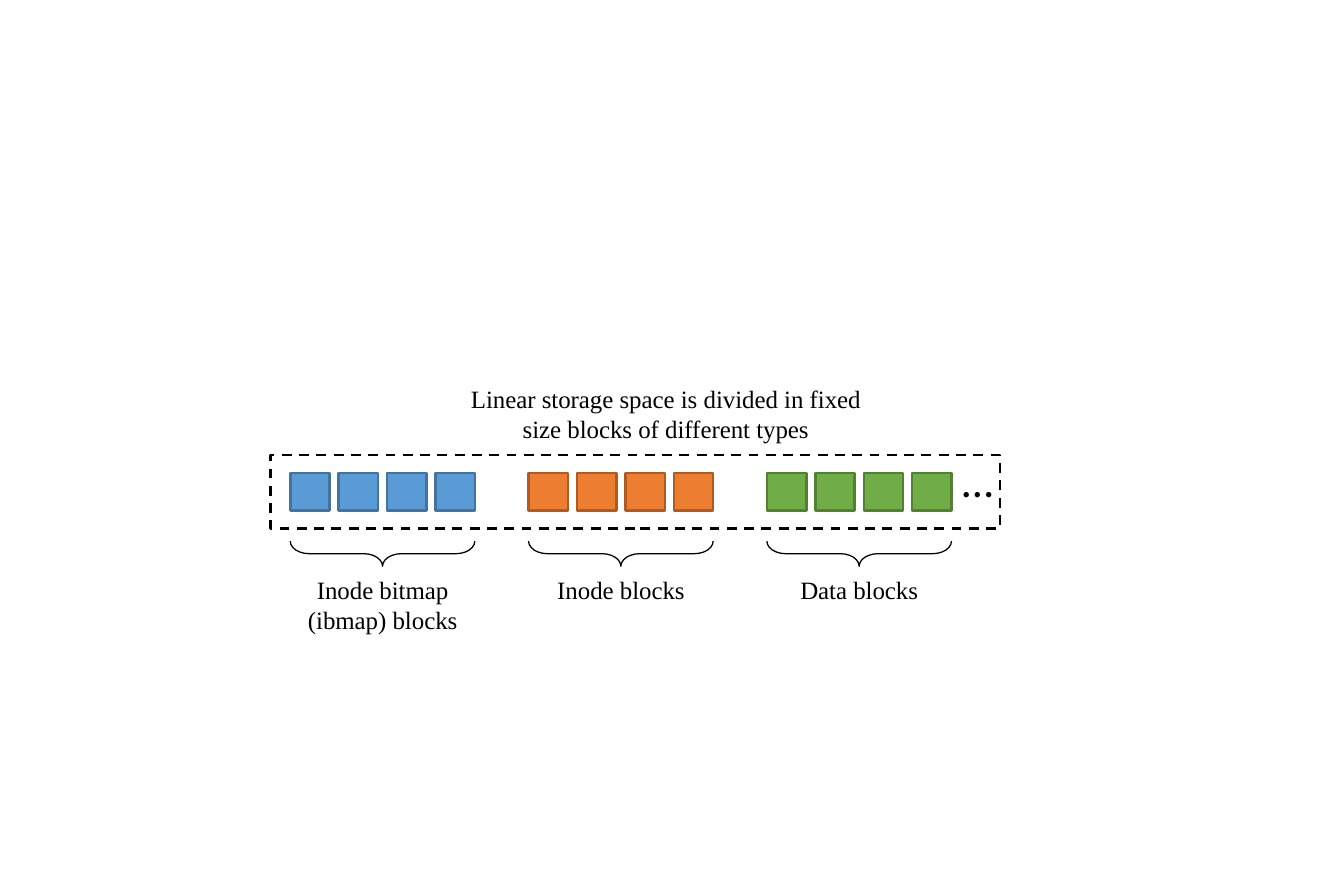
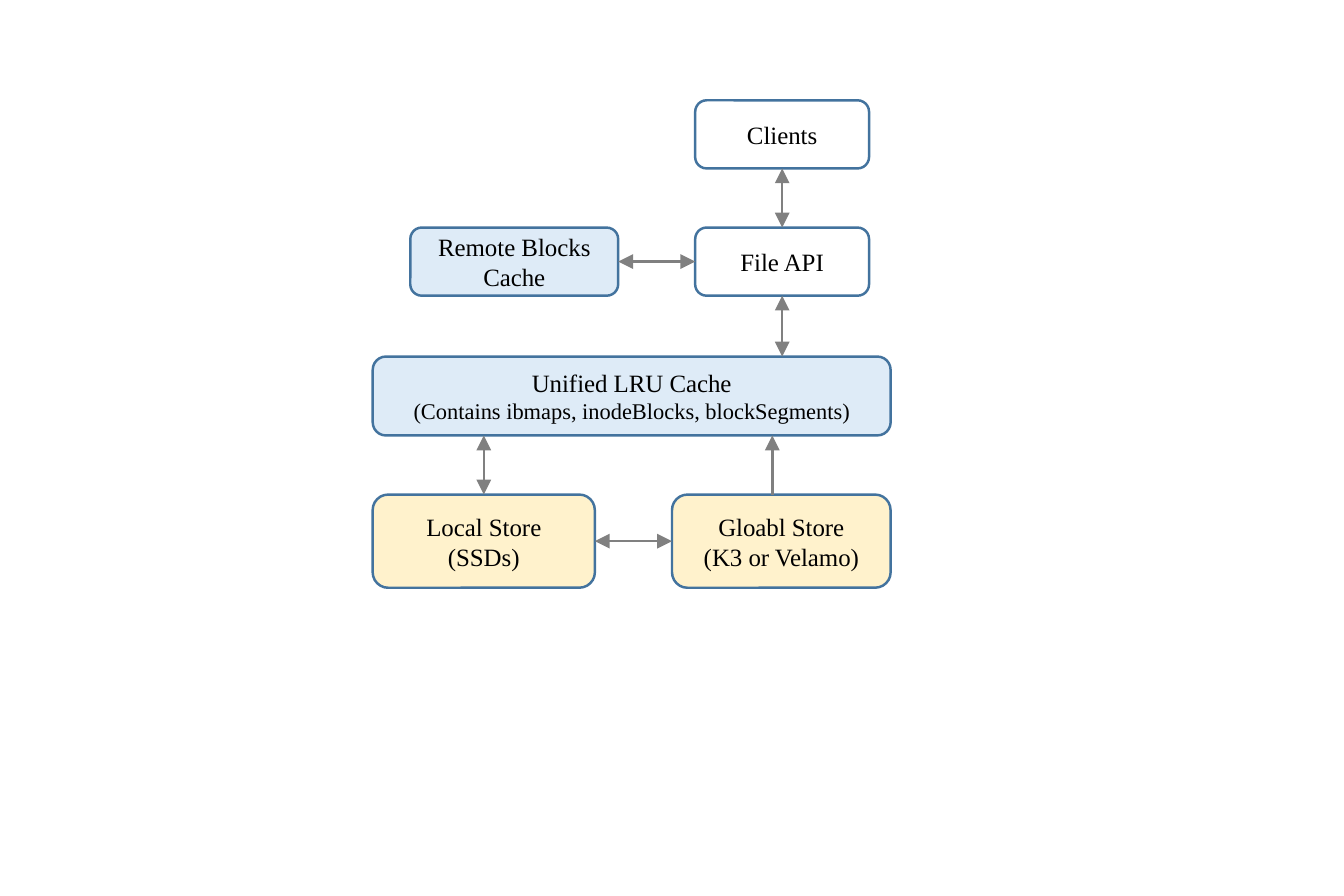
from lxml import etree
from pptx import Presentation
from pptx.dml.color import RGBColor
from pptx.enum.dml import MSO_LINE
from pptx.enum.shapes import MSO_CONNECTOR, MSO_SHAPE
from pptx.enum.text import MSO_ANCHOR, PP_ALIGN
from pptx.oxml.ns import qn
from pptx.util import Inches, Pt

RECT = MSO_SHAPE.RECTANGLE
ROUNDED = MSO_SHAPE.ROUNDED_RECTANGLE
BRACE = MSO_SHAPE.LEFT_BRACE
STRAIGHT = MSO_CONNECTOR.STRAIGHT
DASH = MSO_LINE.DASH
CENTER, LEFT = PP_ALIGN.CENTER, PP_ALIGN.LEFT
MIDDLE = MSO_ANCHOR.MIDDLE
TOP_SIDE, LEFT_SIDE, BOTTOM_SIDE, RIGHT_SIDE = range(4)

SERIF, SANS = "Times New Roman", "Calibri"
BLACK, WHITE, GRAY = "000000", "FFFFFF", "808080"
OUTLINE, CACHE_FILL, STORE_FILL = "43739E", "DEEBF7", "FFF2CC"

# Block groups: label, fill, outline
BLOCK_GROUPS = [
    ("Inode bitmap\n(ibmap) blocks", "5B9BD5", "43739E"),
    ("Inode blocks", "ED7D31", "AF5C24"),
    ("Data blocks", "70AD47", "538035"),
]
BLOCKS_PER_GROUP = 4
GROUP_LEFT, GROUP_PITCH, GROUP_WIDTH = 1.62, 1.33, 1.03
BLOCK_TOP, BLOCK_WIDTH, BLOCK_HEIGHT = 2.64, 0.22, 0.21
BLOCK_PITCH = (GROUP_WIDTH - BLOCK_WIDTH) / (BLOCKS_PER_GROUP - 1)
STRIP_LEFT, STRIP_TOP, STRIP_WIDTH, STRIP_HEIGHT = 1.51, 2.54, 4.07, 0.41
BRACE_TOP, BRACE_DEPTH, LABEL_TOP = 3.02, 0.14, 3.16
TORN_EDGE = [(5.57, 2.54), (5.62, 2.66), (5.58, 2.74), (5.65, 2.79), (5.56, 2.95)]

# Architecture rows
CLIENTS_TOP, API_TOP, CACHE_TOP, STORE_TOP = 0.56, 1.27, 1.99, 2.76
BOX_HEIGHT, CACHE_HEIGHT, STORE_HEIGHT = 0.38, 0.44, 0.52
CACHE_LEFT, CACHE_WIDTH = 2.08, 2.89
API_LEFT, API_WIDTH = 3.88, 0.97


def color(hex_code):
    return RGBColor.from_string(hex_code)


def style(shape, fill, line, width=1):
    shape.shadow.inherit = False
    if fill:
        shape.fill.solid()
        shape.fill.fore_color.rgb = color(fill)
    else:
        shape.fill.background()
    shape.line.color.rgb = color(line)
    shape.line.width = Pt(width)


def add_shape(page, kind, left, top, width, height, fill, line, line_width=1):
    shape = page.shapes.add_shape(
        kind, Inches(left), Inches(top), Inches(width), Inches(height))
    style(shape, fill, line, line_width)
    return shape


def write(frame, text, sizes=(10,), font=SERIF, align=CENTER):
    """Fill the frame; the last size serves all further paragraphs."""
    frame.text = text
    for index, para in enumerate(frame.paragraphs):
        para.alignment = align
        for span in para.runs:
            span.font.name = font
            span.font.size = Pt(sizes[min(index, len(sizes) - 1)])
            span.font.color.rgb = color(BLACK)


def add_label(page, text, left, top, width, height):
    box = page.shapes.add_textbox(
        Inches(left), Inches(top), Inches(width), Inches(height))
    frame = box.text_frame
    frame.word_wrap = True
    frame.margin_left = frame.margin_right = Inches(0.05)
    frame.margin_top = frame.margin_bottom = Inches(0.05)
    write(frame, text)


def add_box(page, text, left, top, width, height, fill=None, sizes=(10,)):
    box = add_shape(page, ROUNDED, left, top, width, height, fill, OUTLINE)
    box.text_frame.word_wrap = True
    box.text_frame.vertical_anchor = MIDDLE
    write(box.text_frame, text, sizes)
    return box


def add_arrow(page, start, end, both_ways=True):
    """Each end is a (box, side) pair or an (x, y) point in inches."""
    joined = [not isinstance(place[0], (int, float)) for place in (start, end)]
    x1, y1 = (0, 0) if joined[0] else start
    x2, y2 = (0, 0) if joined[1] else end
    arrow = page.shapes.add_connector(
        STRAIGHT, Inches(x1), Inches(y1), Inches(x2), Inches(y2))
    if joined[0]:
        arrow.begin_connect(*start)
    if joined[1]:
        arrow.end_connect(*end)
    arrow.line.color.rgb = color(GRAY)
    arrow.line.width = Pt(1)
    line = arrow.line._get_or_add_ln()
    for tag in ("a:headEnd", "a:tailEnd") if both_ways else ("a:tailEnd",):
        etree.SubElement(line, qn(tag), type="triangle")
    etree.SubElement(arrow._element.spPr, qn("a:effectLst"))


def add_block_group(page, left, label, fill, line):
    for index in range(BLOCKS_PER_GROUP):
        add_shape(page, RECT, left + index * BLOCK_PITCH, BLOCK_TOP,
                  BLOCK_WIDTH, BLOCK_HEIGHT, fill, line)
    # The brace is laid out upright around its centre, then turned.
    shift = (GROUP_WIDTH - BRACE_DEPTH) / 2
    brace = add_shape(page, BRACE, left + shift, BRACE_TOP - shift,
                      BRACE_DEPTH, GROUP_WIDTH, None, BLACK, 0.5)
    brace.rotation = 270
    brace.adjustments[0] = 0.75
    brace.adjustments[1] = 0.5
    label_height = 0.27 + 0.17 * label.count("\n")
    add_label(page, label, left, LABEL_TOP, GROUP_WIDTH, label_height)


def add_torn_edge(page):
    builder = page.shapes.build_freeform(*TORN_EDGE[0], scale=Inches(1))
    builder.add_line_segments(TORN_EDGE[1:], close=False)
    style(builder.convert_to_shape(), WHITE, BLACK)


def build_storage_page(page):
    strip = add_shape(page, RECT, STRIP_LEFT, STRIP_TOP, STRIP_WIDTH,
                      STRIP_HEIGHT, WHITE, BLACK)
    strip.line.dash_style = DASH
    for index, group in enumerate(BLOCK_GROUPS):
        add_block_group(page, GROUP_LEFT + index * GROUP_PITCH, *group)
    dots = page.shapes.add_textbox(
        Inches(5.27), Inches(2.48), Inches(0.38), Inches(0.4))
    dots.text_frame.word_wrap = False
    write(dots.text_frame, "…", (18,), SANS, LEFT)
    add_label(page, "Linear storage space is divided in fixed size blocks "
              "of different types", 2.46, 2.09, 2.51, 0.44)
    add_torn_edge(page)


def build_architecture_page(page):
    cache = add_box(
        page, "Unified LRU Cache\n(Contains ibmaps, inodeBlocks, blockSegments)",
        CACHE_LEFT, CACHE_TOP, CACHE_WIDTH, CACHE_HEIGHT, CACHE_FILL, (10, 9))
    local = add_box(page, "Local Store\n(SSDs)", CACHE_LEFT, STORE_TOP,
                    1.24, STORE_HEIGHT, STORE_FILL)
    remote_store = add_box(page, "Gloabl Store\n(K3 or Velamo)", 3.75,
                           STORE_TOP, 1.22, STORE_HEIGHT, STORE_FILL)
    api = add_box(page, "File API", API_LEFT, API_TOP, API_WIDTH, BOX_HEIGHT)
    remote_cache = add_box(page, "Remote Blocks Cache", 2.29, API_TOP,
                           1.16, BOX_HEIGHT, CACHE_FILL)
    clients = add_box(page, "Clients", API_LEFT, CLIENTS_TOP,
                      API_WIDTH, BOX_HEIGHT)

    api_center = API_LEFT + API_WIDTH / 2
    local_center = CACHE_LEFT + 1.24 / 2
    cache_bottom = (cache.top + cache.height) / Inches(1)
    add_arrow(page, (clients, BOTTOM_SIDE), (api, TOP_SIDE))
    add_arrow(page, (remote_cache, RIGHT_SIDE), (api, LEFT_SIDE))
    add_arrow(page, (api, BOTTOM_SIDE), (api_center, CACHE_TOP))
    add_arrow(page, (local, TOP_SIDE), (local_center, cache_bottom))
    add_arrow(page, (local, RIGHT_SIDE), (remote_store, LEFT_SIDE))
    add_arrow(page, (4.31, STORE_TOP), (4.31, cache_bottom), both_ways=False)


def main():
    deck = Presentation()
    deck.slide_width, deck.slide_height = Inches(7.5), Inches(5)
    blank = deck.slide_layouts[6]
    for build in (build_storage_page, build_architecture_page):
        build(deck.slides.add_slide(blank))
    deck.save("out.pptx")


if __name__ == "__main__":
    main()
